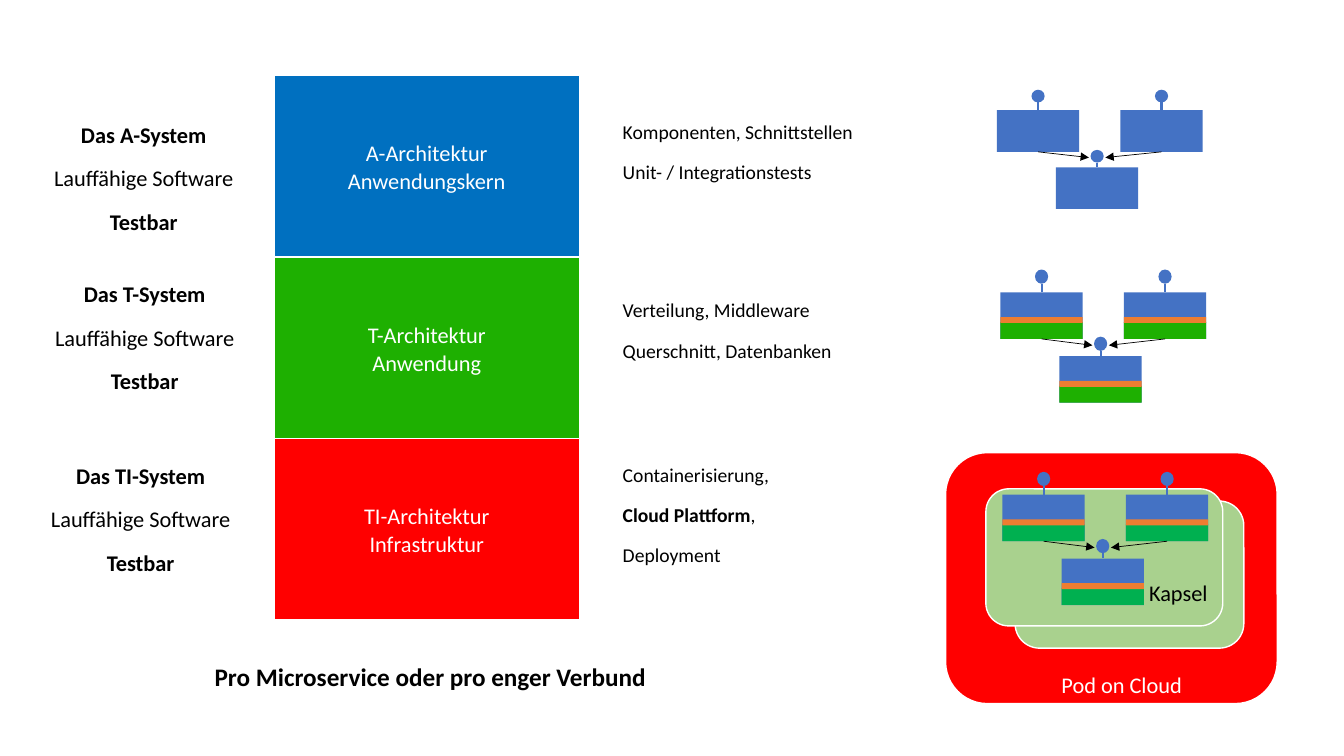
from lxml.etree import SubElement
from pptx import Presentation
from pptx.dml.color import RGBColor
from pptx.enum.shapes import MSO_CONNECTOR, MSO_SHAPE
from pptx.enum.text import MSO_ANCHOR, MSO_AUTO_SIZE, PP_ALIGN
from pptx.oxml.ns import qn
from pptx.util import Pt

COLORS = {
    "application": "0070C0", "technology": "1EB001", "infrastructure": "FF0000",
    "component": "4472C4", "middleware": "ED7D31", "runtime": "00B050",
    "container": "A9D18E", "white": "FFFFFF", "black": "000000",
}


def color(name):
    return RGBColor.from_string(COLORS[name])


def add_block(shapes, kind, box, fill, outline=None):
    block = shapes.add_shape(kind, *map(Pt, box))
    block.shadow.inherit = False
    block.fill.solid()
    block.fill.fore_color.rgb = color(fill)
    if outline:
        block.line.color.rgb = color(outline)
        block.line.width = Pt(1)
    else:
        block.line.fill.background()
    return block


def add_link(shapes, start, end, line_color, width, arrow=False):
    link = shapes.add_connector(MSO_CONNECTOR.STRAIGHT, *map(Pt, start + end))
    link.line.color.rgb = color(line_color)
    link.line.width = Pt(width)
    if arrow:
        SubElement(link.line._get_or_add_ln(), qn("a:tailEnd"), type="triangle")
    SubElement(link._element.spPr, qn("a:effectLst"))
    return link


def write_lines(frame, lines, size, text_color="black", align=PP_ALIGN.LEFT,
                spacing=None, after=None):
    """Each line is a list of (text, bold) pieces."""
    for index, pieces in enumerate(lines):
        paragraph = frame.paragraphs[0] if index == 0 else frame.add_paragraph()
        paragraph.alignment = align
        if spacing is not None:
            paragraph.line_spacing = Pt(spacing)
        if after is not None:
            paragraph.space_after = Pt(after)
        for text, bold in pieces:
            run = paragraph.add_run()
            run.text = text
            run.font.name = "Calibri"
            run.font.size = Pt(size)
            run.font.bold = bold
            run.font.color.rgb = color(text_color)


def add_text(slide, box, lines, size, margin=0, **style):
    frame = slide.shapes.add_textbox(*map(Pt, box)).text_frame
    frame.word_wrap = True
    frame.auto_size = MSO_AUTO_SIZE.SHAPE_TO_FIT_TEXT
    if margin is not None:
        frame.margin_left = frame.margin_right = Pt(margin)
        frame.margin_top = frame.margin_bottom = Pt(margin)
    write_lines(frame, lines, size, **style)


def add_layer(slide, box, fill, lines):
    layer = add_block(slide.shapes, MSO_SHAPE.RECTANGLE, box, fill, "white")
    layer.text_frame.vertical_anchor = MSO_ANCHOR.MIDDLE
    write_lines(layer.text_frame, [[(line, False)] for line in lines], 16,
                "white", PP_ALIGN.CENTER, spacing=20)


def add_system(slide, box, name):
    lines = [[(f"Das {name}", True)], [("Lauffähige Software", False)], [("Testbar", True)]]
    add_text(slide, box, lines, 16, align=PP_ALIGN.CENTER, after=12)


def add_components(slide, box, base=None):
    """Two components that use a third one; base colours their lower band."""
    left, top, width, height = box
    shapes = slide.shapes.add_group_shape().shapes
    block_w, block_h = 0.4 * width, 0.35 * height
    dot_w, dot_h = 0.064 * width, 0.107 * height
    # Horizontal offset, top of the dot, top of the block
    places = [(0, 0, 0.172), (0.6, 0, 0.172), (0.287, 0.505, 0.652)]

    blocks = []
    for offset, dot_top, block_top in places:
        x, y = left + offset * width, top + block_top * height
        middle, dot_y = x + block_w / 2, top + dot_top * height
        block = add_block(shapes, MSO_SHAPE.RECTANGLE, (x, y, block_w, block_h), "component")
        add_block(shapes, MSO_SHAPE.OVAL, (middle - dot_w / 2, dot_y, dot_w, dot_h), "component")
        stem = add_link(shapes, (middle, dot_y + dot_h), (middle, y), "component", 1.5)
        stem.end_connect(block, 0)
        blocks.append(block)
        if base:
            for band, start, share in [(base, 0.64, 0.36), ("middleware", 0.53, 0.13)]:
                add_block(shapes, MSO_SHAPE.RECTANGLE,
                          (x, y + start * block_h, block_w, share * block_h), band)

    # Arrows to the shared component
    target_x, target_y = left + 0.487 * width, top + 0.57 * height
    for user, (offset, _, block_top), side in zip(blocks, places, (-1, 1)):
        start = (left + offset * width + block_w / 2, top + block_top * height + block_h)
        arrow = add_link(shapes, start, (target_x + side * 0.04 * width, target_y),
                         "black", 0.5, arrow=True)
        arrow.begin_connect(user, 2)


def add_platform(slide, box):
    left, top, width, height = box
    add_block(slide.shapes, MSO_SHAPE.ROUNDED_RECTANGLE, box, "infrastructure", "white")
    for x, y, w, h in [(49.7, 34.6, 163.4, 105.1), (28.8, 25.9, 169.2, 97.9)]:
        add_block(slide.shapes, MSO_SHAPE.ROUNDED_RECTANGLE,
                  (left + x, top + y, w, h), "container", "white")
    add_components(slide, (left + 40.7, top + 13.7, 147, 95), "runtime")
    add_text(slide, (left + 145.4, top + 81.4, 124.6, 25.9), [[("Kapsel", False)]], 16,
             spacing=28, after=12)
    add_text(slide, (left + 82.8, top + 147.6, 96.5, 25.2), [[("Pod on Cloud", False)]], 16,
             text_color="white", spacing=28, after=12)


LAYERS = [
    # fill, layer text, system, system left and top, details, details top and height
    ("application", ["A-Architektur", "Anwendungskern"], "A-System", (-87.8, 86.4),
     [[("Komponenten, Schnittstellen", False)], [("Unit- / Integrationstests", False)]],
     (85.7, 67.7)),
    ("technology", ["T-Architektur", "Anwendung"], "T-System", (-87.1, 200.2),
     [[("Verteilung, Middleware", False)], [("Querschnitt, Datenbanken", False)]],
     (213.1, 46.1)),
    ("infrastructure", ["TI-Architektur", "Infrastruktur"], "TI-System", (-90, 329.8),
     [[("Containerisierung,", False)], [("Cloud Plattform", True), (",", False)],
      [("Deployment", False)]], (330.5, 110.2)),
]


def main():
    presentation = Presentation()
    presentation.slide_width, presentation.slide_height = Pt(960), Pt(540)
    slide = presentation.slides.add_slide(presentation.slide_layouts[6])

    # Platform with its containers
    add_platform(slide, (675.4, 323.3, 236.9, 179.3))

    # Architecture layers with systems and details
    layer_h = 129.6
    for row, (fill, title, system, place, details, (y, h)) in enumerate(LAYERS):
        add_layer(slide, (195.8, 54 + row * layer_h, 218.2, layer_h), fill, title)
        add_system(slide, (*place, 380.9, 82.1), system)
        add_text(slide, (444.8, y, 380.9, h), details, 14, after=12)

    # Component diagrams
    add_components(slide, (712.1, 64.1, 147, 85))
    add_components(slide, (714.6, 192.5, 147, 95), "technology")

    # Conclusion
    add_text(slide, (146.2, 468.7, 475.2, 28.8),
             [[("Pro Microservice oder pro enger Verbund", True)]], 18, margin=None)

    presentation.save("out.pptx")


if __name__ == "__main__":
    main()
